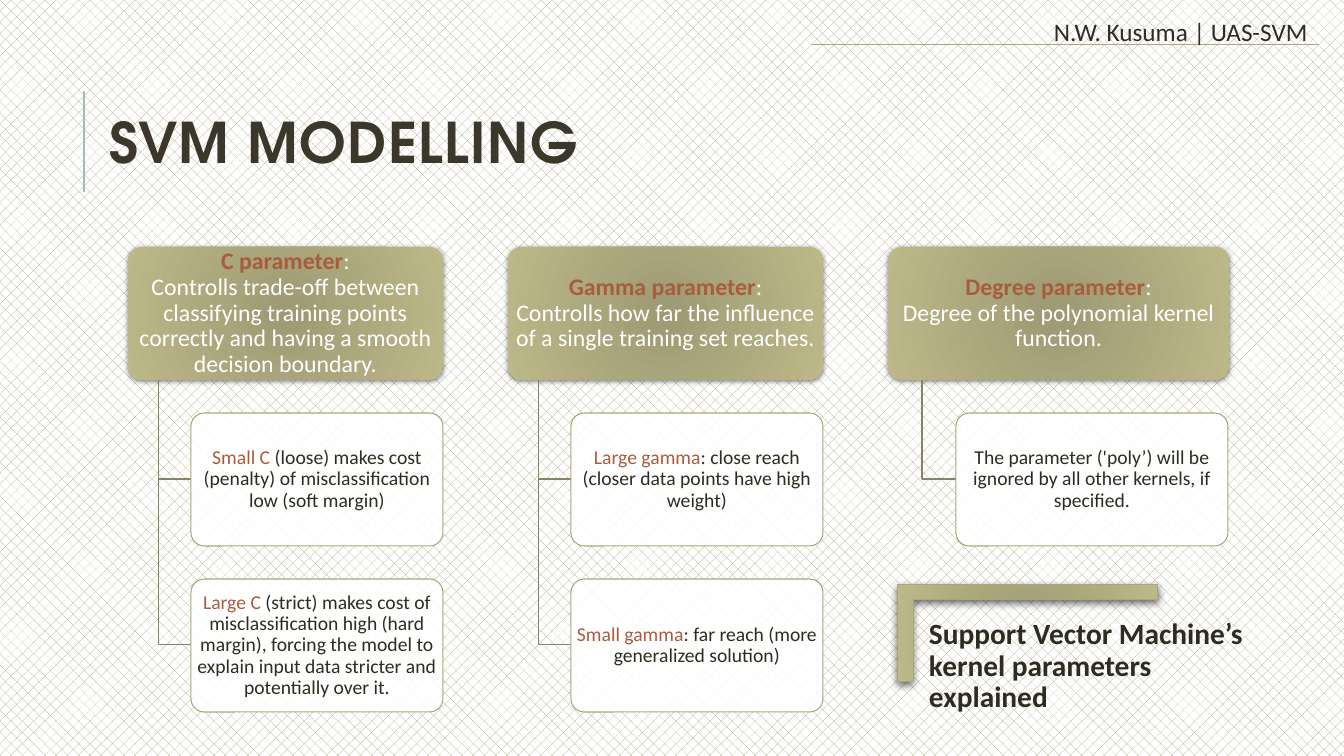
from lxml.etree import SubElement
from pptx import Presentation
from pptx.dml.color import RGBColor
from pptx.enum.dml import MSO_PATTERN
from pptx.enum.shapes import MSO_CONNECTOR, MSO_SHAPE
from pptx.enum.text import MSO_ANCHOR, MSO_AUTO_SIZE, PP_ALIGN
from pptx.oxml.ns import qn
from pptx.util import Pt

PX = 914400 / 100.8
OLIVE, BRANCH, TEAL = "A9A57C", "878463", "9CBEBD"
RUST, DARK, TITLE_DARK, WHITE = "A95C3D", "2E2B21", "3B372A", "FFFFFF"
GRADIENT = ("9D9A74", "BDB888")

TITLE = "SVM MODELLING"
HEADER = "N.W. Kusuma | UAS-SVM"
CAPTION = "Support Vector Machine’s kernel parameters explained"
PARAMETERS = [
    (315, "C parameter",
     "Controlls trade-off between classifying training points correctly "
     "and having a smooth decision boundary.",
     [("Small C", " (loose) makes cost (penalty) of misclassification low (soft margin)"),
      ("Large C", " (strict) makes cost of misclassification high (hard margin), forcing "
                  "the model to explain input data stricter and potentially over it.")]),
    (315, "Gamma parameter",
     "Controlls how far the influence of a single training set reaches.",
     [("Large gamma", ": close reach (closer data points have high weight)"),
      ("Small gamma", ": far reach (more generalized solution)")]),
    (341, "Degree parameter",
     "Degree of the polynomial kernel function.",
     [("", "The parameter ('poly’) will be ignored by all other kernels, if specified.")]),
]
LEFT, TOP, CARD_HEIGHT, ROW_STEP, COLUMN_GAP = 128, 247, 133, 166, 65


def px(*lengths):
    return [round(length * PX) for length in lengths]


def rgb(color):
    return RGBColor.from_string(color)


def set_font(font, size, color=None, bold=None, name="Calibri"):
    font.name, font.size, font.bold = name, Pt(size), bold
    if color:
        font.color.rgb = rgb(color)


def set_margins(frame, horizontal, vertical):
    frame.margin_left = frame.margin_right = px(horizontal)[0]
    frame.margin_top = frame.margin_bottom = px(vertical)[0]


def add_run(paragraph, text, color, bold=None):
    run = paragraph.add_run()
    run.text = text
    run.font.color.rgb = rgb(color)
    run.font.bold = bold


def set_line(outline, color, width=0.75):
    outline.color.rgb = rgb(color)
    outline.width = Pt(width)


def add_shadow(shape, opacity, blur, distance):
    effects = shape._element.spPr.find(qn("a:effectLst"))
    outer = SubElement(effects, qn("a:outerShdw"), blurRad=str(Pt(blur)),
                       dist=str(Pt(distance)), dir="5400000", rotWithShape="0")
    black = SubElement(outer, qn("a:srgbClr"), val="000000")
    SubElement(black, qn("a:alpha"), val=str(opacity * 1000))


def fill_radial(shape):
    shape.fill.gradient()
    for stop, color in zip(shape.fill.gradient_stops, GRADIENT):
        stop.color.rgb = rgb(color)
    gradient = shape._element.spPr.find(qn("a:gradFill"))
    gradient.remove(gradient.find(qn("a:lin")))
    circle = SubElement(gradient, qn("a:path"), {"path": "circle"})
    SubElement(circle, qn("a:fillToRect"), dict.fromkeys("ltrb", "100000"))


def add_shape(kind, *box):
    shape = slide.shapes.add_shape(kind, *px(*box))
    shape.shadow.inherit = False
    return shape


def add_card(left, top, width, size):
    card = add_shape(MSO_SHAPE.ROUNDED_RECTANGLE, left, top, width, CARD_HEIGHT)
    card.adjustments[0] = 0.1
    frame = card.text_frame
    frame.word_wrap = True
    frame.vertical_anchor = MSO_ANCHOR.MIDDLE
    set_margins(frame, 1, 2)
    paragraph = frame.paragraphs[0]
    paragraph.alignment = PP_ALIGN.CENTER
    paragraph.line_spacing = 0.9
    set_font(paragraph.font, size)
    return card, paragraph


def add_rule(color, width, *ends):
    rule = slide.shapes.add_connector(MSO_CONNECTOR.STRAIGHT, *px(*ends))
    set_line(rule.line, color, width)
    SubElement(rule._element.spPr, qn("a:effectLst"))


def add_branch(trunk, start, middle, end):
    builder = slide.shapes.build_freeform(trunk, start, scale=PX)
    builder.add_line_segments([(trunk, middle), (end, middle)], close=False)
    branch = builder.convert_to_shape()
    branch.shadow.inherit = False
    branch.fill.background()
    set_line(branch.line, BRANCH)


def add_label(text, size, bold, *box):
    label = slide.shapes.add_textbox(*px(*box))
    paragraph = label.text_frame.paragraphs[0]
    paragraph.text = text
    set_font(paragraph.font, size, DARK, bold)
    return label.text_frame


deck = Presentation()
deck.slide_width, deck.slide_height = px(1344, 756)
slide = deck.slides.add_slide(deck.slide_layouts[5])
backdrop = slide.background.fill
backdrop.patterned()
backdrop.pattern = MSO_PATTERN.PERCENT_25
backdrop.fore_color.rgb = rgb(OLIVE)
backdrop.back_color.rgb = rgb(WHITE)

add_rule(TEAL, 1.5, 84, 192, 84, 91)
title = slide.shapes.title
title.left, title.top, title.width, title.height = px(99, 67, 511, 161)
title.text_frame.text = TITLE
title.text_frame.auto_size = MSO_AUTO_SIZE.NONE
title.text_frame.vertical_anchor = MSO_ANCHOR.MIDDLE
heading = title.text_frame.paragraphs[0]
heading.alignment = PP_ALIGN.LEFT
heading.line_spacing = 0.8
set_font(heading.font, 40, TITLE_DARK, True, "TeX Gyre Adventor")
heading.runs[0].font._element.set("spc", "100")

add_rule(OLIVE, 0.75, 812, 45, 1319, 45)
header = add_label(HEADER, 18, False, 1044, 11, 281, 40)
header.word_wrap = False
header.auto_size = MSO_AUTO_SIZE.SHAPE_TO_FIT_TEXT

left = LEFT
for width, parameter, meaning, effects in PARAMETERS:
    root, paragraph = add_card(left, TOP, width, 17)
    fill_radial(root)
    root.line.fill.background()
    add_shadow(root, 50, 4, 1)
    add_run(paragraph, parameter, RUST, True)
    add_run(paragraph, ":", WHITE)
    paragraph.add_line_break()
    add_run(paragraph, meaning, WHITE)
    effect_left = left + width // 5
    for row, (setting, effect) in enumerate(effects, 1):
        top = TOP + row * ROW_STEP
        add_branch(left + width // 10, TOP + CARD_HEIGHT, top + CARD_HEIGHT // 2, effect_left)
        card, paragraph = add_card(effect_left, top, width * 4 // 5, 14)
        card.fill.solid()
        card.fill.fore_color.rgb = rgb(WHITE)
        white = card._element.spPr.find(qn("a:solidFill"))[0]
        SubElement(white, qn("a:alpha"), val="90000")
        set_line(card.line, OLIVE)
        if setting:
            add_run(paragraph, setting, RUST)
        add_run(paragraph, effect, DARK)
    left += width + COLUMN_GAP

corner = add_shape(MSO_SHAPE.from_xml("corner"), 979, 503, 97, 260)
corner.rotation = 90
corner.adjustments[0] = corner.adjustments[1] = 0.16
fill_radial(corner)
set_line(corner.line, OLIVE)
add_shadow(corner, 60, 6, 2)
caption = add_label(CAPTION, 21, True, 920, 610, 347, 105)
caption.word_wrap = True
caption.paragraphs[0].line_spacing = 0.9
set_margins(caption, 9, 9)

deck.save("out.pptx")
